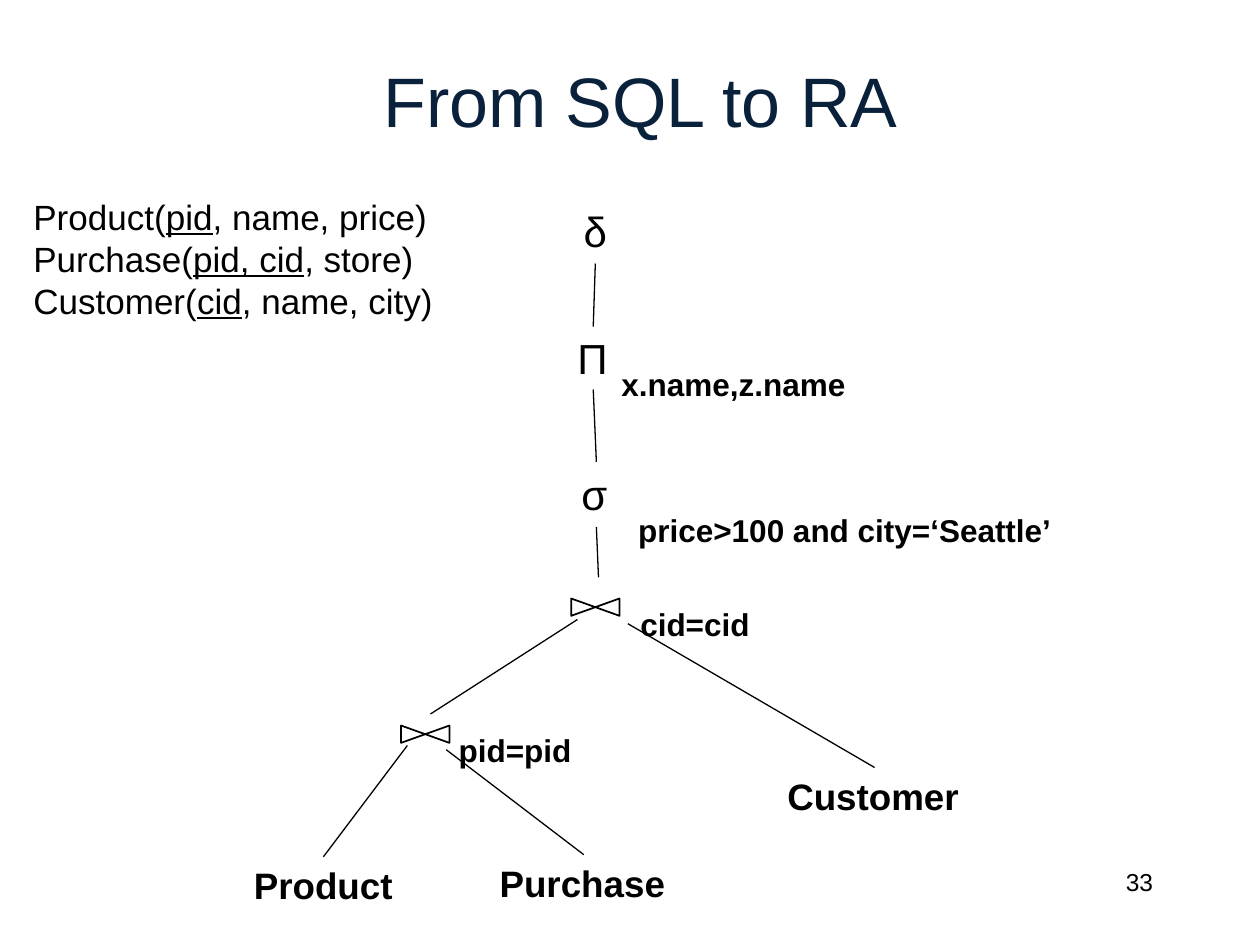
from lxml.etree import SubElement
from pptx import Presentation
from pptx.dml.color import RGBColor
from pptx.enum.shapes import MSO_CONNECTOR
from pptx.enum.text import MSO_ANCHOR, PP_ALIGN
from pptx.oxml.ns import qn
from pptx.util import Inches, Pt

COLORS = {"ink": "000000", "title": "09213B", "page": "FFFFFF"}
CELL = Inches(1) / 12
COLUMNS, ROWS = 120, 90

FORMATS = {
    "title": {"size": Pt(40), "bold": False},
    "schema": {"size": Pt(20), "bold": False},
    "operator": {"size": Pt(24), "bold": False},
    "relation": {"size": Pt(21), "bold": True},
    "condition": {"size": Pt(18), "bold": True},
    "number": {"size": Pt(14), "bold": False},
}

SCHEMAS = [
    ("Product(", "pid", ", name, price)"),
    ("Purchase(", "pid, cid", ", store)"),
    ("Customer(", "cid", ", name, city)"),
]
LABELS = [
    ("operator", "δ", 31.4, 1, 4.7, 6),
    ("operator", "Π", 30.8, 13.1, 5.4, 6),
    ("operator", "σ", 31.2, 26, 4.9, 6),
    ("condition", "x.name,z.name", 35, 16.2, 24, 4.8),
    ("condition", "price>100 and city=‘Seattle’", 36.6, 30.1, 42.2, 4.8),
    ("condition", "cid=cid", 36.8, 39, 13, 4.8),
    ("condition", "pid=pid", 19.5, 51, 13.3, 4.8),
    ("relation", "Product", 0, 63.6, 15.8, 5.4),
    ("relation", "Purchase", 23.4, 63.4, 18.4, 5.4),
    ("relation", "Customer", 50.8, 55.1, 19, 5.4),
]
JOINS = [(31.4, 39), (15.2, 51.1)]
JOIN_WIDTH, JOIN_HEIGHT = 4.6, 1.65
EDGES = [
    (33.5, 13.1, 33.7, 7.1),
    (33.8, 26, 33.5, 19.1),
    (34, 37, 33.8, 32.2),
    (18, 50, 32, 41),
    (60.3, 55.1, 36.8, 41.4),
    (7.8, 63.6, 15.8, 53),
    (32.6, 63.4, 19.5, 53.4),
]


def grid(*cells):
    return [round(cell * CELL) for cell in cells]


def add_span(para, text, style, color="ink", underline=False):
    span = para.add_run()
    span.text = text
    values = {"name": "Arial", "underline": underline, **FORMATS[style]}
    for key, value in values.items():
        setattr(span.font, key, value)
    span.font.color.rgb = RGBColor.from_string(COLORS[color])


def add_text(page, box, wrap=False):
    frame = page.shapes.add_textbox(*grid(*box)).text_frame
    frame.word_wrap = wrap
    return frame


def add_title(page, box, text):
    title = page.shapes.title
    for key, value in zip(("left", "top", "width", "height"), grid(*box)):
        setattr(title, key, value)
    title.text_frame.vertical_anchor = MSO_ANCHOR.MIDDLE
    para = title.text_frame.paragraphs[0]
    para.alignment = PP_ALIGN.CENTER
    add_span(para, text, "title", "title")


def add_schemas(page, box):
    frame = add_text(page, box)
    for index, (start, key, end) in enumerate(SCHEMAS):
        para = frame.add_paragraph() if index else frame.paragraphs[0]
        add_span(para, start, "schema")
        add_span(para, key, "schema", underline=True)
        add_span(para, end, "schema")


def set_line(shape, width):
    shape.line.color.rgb = RGBColor.from_string(COLORS["ink"])
    shape.line.width = Pt(width)


def add_join(page, left, top):
    right, bottom = left + JOIN_WIDTH, top + JOIN_HEIGHT
    builder = page.shapes.build_freeform(*grid(left, top))
    corners = [(left, bottom), (right, top), (right, bottom)]
    builder.add_line_segments([grid(*corner) for corner in corners], close=True)
    join = builder.convert_to_shape()
    join.shadow.inherit = False
    join.fill.background()
    set_line(join, 1)


def add_edge(page, start, end):
    edge = page.shapes.add_connector(
        MSO_CONNECTOR.STRAIGHT, *grid(*start), *grid(*end))
    set_line(edge, 0.75)
    SubElement(edge._element.spPr, qn("a:effectLst"))


def add_tree(page, box):
    left, top = box[:2]
    for x, y in JOINS:
        add_join(page, left + x, top + y)
    for x1, y1, x2, y2 in EDGES:
        add_edge(page, (left + x1, top + y1), (left + x2, top + y2))
    for style, text, x, y, width, height in LABELS:
        frame = add_text(page, (left + x, top + y, width, height))
        add_span(frame.paragraphs[0], text, style)


def add_number(page, box, text):
    para = add_text(page, box, wrap=True).paragraphs[0]
    para.alignment = PP_ALIGN.RIGHT
    add_span(para, text, "number")


deck = Presentation()
deck.slide_width, deck.slide_height = grid(COLUMNS, ROWS)
page = deck.slides.add_slide(deck.slide_layouts[5])
page.background.fill.solid()
page.background.fill.fore_color.rgb = RGBColor.from_string(COLORS["page"])
add_title(page, (10, 2, 102, 15), "From SQL to RA")
add_schemas(page, (2, 18, 40.8, 13.3))
add_tree(page, (23, 18, 79, 69))
add_number(page, (86, 82, 25, 6), "33")
deck.save("out.pptx")
